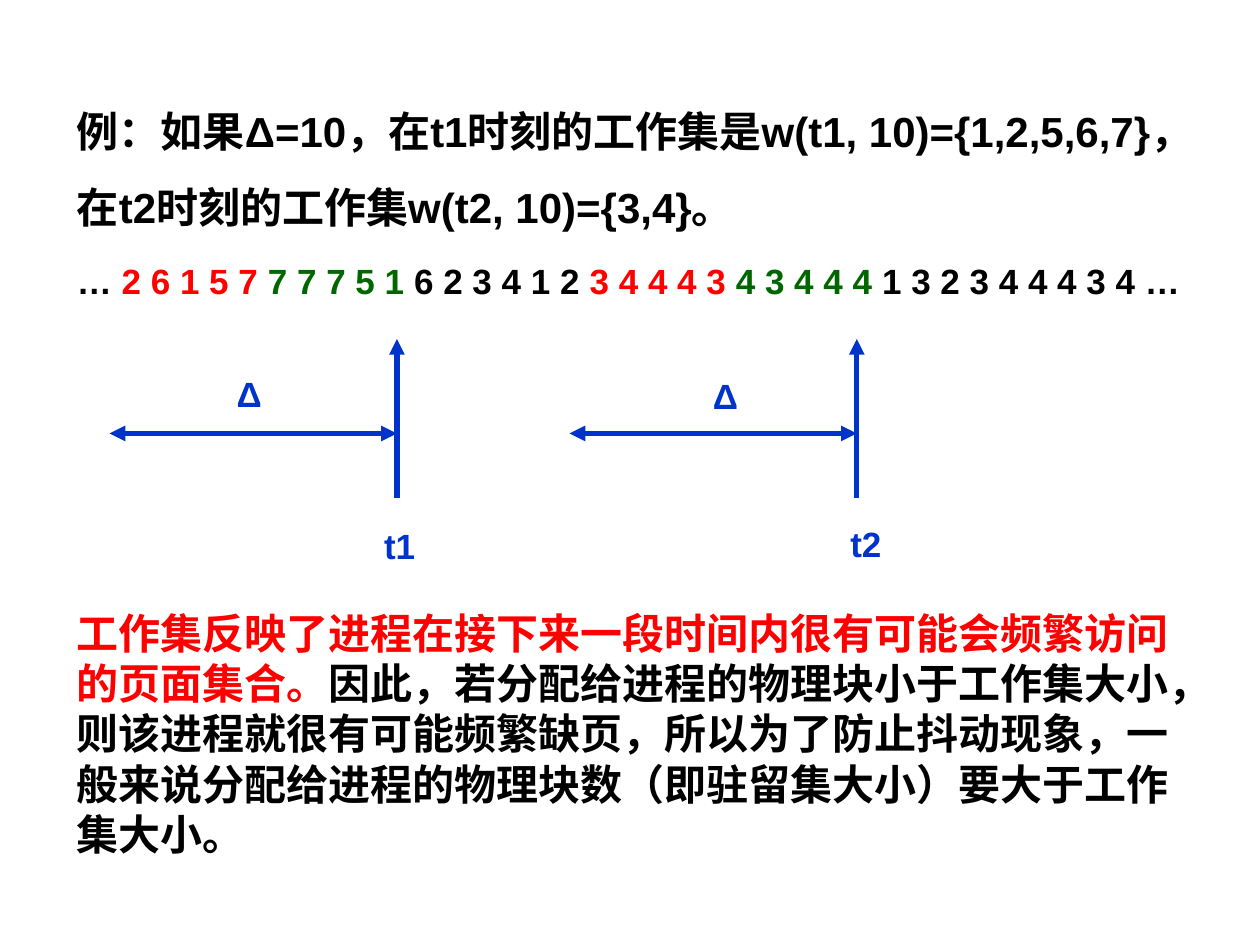
"""Build a slide that explains the working set of a process with two sample windows."""
from dataclasses import dataclass

from lxml.etree import SubElement
from pptx import Presentation
from pptx.dml.color import RGBColor as Rgb
from pptx.enum.shapes import MSO_CONNECTOR as Connector
from pptx.enum.text import MSO_ANCHOR as Anchor, MSO_AUTO_SIZE as AutoSize
from pptx.oxml.ns import qn
from pptx.util import Pt

COLORS = {
    "black": "000000",
    "red": "FF0000",
    "green": "006600",
    "blue": "0033CC",
    "white": "FFFFFF",
}
FONT = "Arial"
WINDOW_WIDTH = 164.16
SPAN_Y, MARK_TOP, MARK_BOTTOM = 247.7, 193.7, 284.4


@dataclass(frozen=True)
class Piece:
    text: str
    color: str = "black"


@dataclass(frozen=True)
class Box:
    left: float
    top: float
    width: float
    height: float


@dataclass(frozen=True)
class Window:
    moment: str
    left: float
    delta: Box
    label: Box


WINDOWS = [
    Window("t1", 62.64, Box(128.2, 209.5, 52.6, 31.7), Box(212.4, 295.9, 59.8, 31.7)),
    Window("t2", 325.44, Box(400.3, 210.2, 52.6, 31.7), Box(478.8, 295.2, 58.3, 31.7)),
]
EXAMPLE = [
    Piece("例：如果Δ=10，在t1时刻的工作集是w(t1, 10)={1,2,5,6,7}，在t2时刻的工作集w(t2, 10)={3,4}。"),
]
REFERENCES = [
    Piece("… "),
    Piece("2 6 1 5 7 ", "red"),
    Piece("7 7 7 5 1 ", "green"),
    Piece("6 2 3 4 1 2 "),
    Piece("3 4 4 4 3 ", "red"),
    Piece("4 3 4 4 4 ", "green"),
    Piece("1 3 2 3 4 4 4 3 4 …"),
]
CONCLUSION = [
    Piece("工作集反映了进程在接下来一段时间内很有可能会频繁访问的页面集合。", "red"),
    Piece(
        "因此，若分配给进程的物理块小于工作集大小，则该进程就很有可能频繁缺页，"
        "所以为了防止抖动现象，一般来说分配给进程的物理块数（即驻留集大小）要大于工作集大小。"
    ),
]


def rgb(name: str) -> Rgb:
    """Return the named colour."""
    return Rgb.from_string(COLORS[name])


def set_values(target, values: dict) -> None:
    """Set each named attribute on the target."""
    for name, value in values.items():
        setattr(target, name, value)


def write(para, pieces: list[Piece], size: float) -> None:
    """Add coloured bold pieces of text to a paragraph."""
    for piece in pieces:
        span = para.add_run()
        span.text = piece.text
        set_values(span.font, {"name": FONT, "size": Pt(size), "bold": True})
        span.font.color.rgb = rgb(piece.color)


def add_text(shapes, place: Box, pieces: list[Piece], size: float) -> None:
    """Add a wrapping text box with one paragraph."""
    box = shapes.add_textbox(
        Pt(place.left), Pt(place.top), Pt(place.width), Pt(place.height)
    )
    set_values(
        box.text_frame, {"word_wrap": True, "auto_size": AutoSize.SHAPE_TO_FIT_TEXT}
    )
    write(box.text_frame.paragraphs[0], pieces, size)


def add_arrow(
    shapes, start: tuple[float, float], end: tuple[float, float], ends: list[str]
) -> None:
    """Add a blue line with triangles at the given ends."""
    arrow = shapes.add_connector(
        Connector.STRAIGHT, Pt(start[0]), Pt(start[1]), Pt(end[0]), Pt(end[1])
    )
    arrow.line.width = Pt(3)
    arrow.line.color.rgb = rgb("blue")
    outline = arrow.line._get_or_add_ln()
    for name in ends:
        SubElement(outline, qn(f"a:{name}"), type="triangle")
    SubElement(arrow._element.spPr, qn("a:effectLst"))


def add_window(page, window: Window) -> None:
    """Draw one working-set window and the label of its moment."""
    right = window.left + WINDOW_WIDTH
    shapes = page.shapes.add_group_shape().shapes
    add_arrow(shapes, (window.left, SPAN_Y), (right, SPAN_Y), ["headEnd", "tailEnd"])
    add_arrow(shapes, (right, MARK_BOTTOM), (right, MARK_TOP), ["tailEnd"])
    add_text(shapes, window.delta, [Piece("Δ", "blue")], 20)
    add_text(page.shapes, window.label, [Piece(window.moment, "blue")], 20)


def fill_body(body) -> None:
    """Place the body and write the example with its reference string."""
    place = {"left": Pt(36.7), "top": Pt(42.5), "width": Pt(660.2), "height": Pt(149.8)}
    set_values(body, place)
    body.fill.solid()
    body.fill.fore_color.rgb = rgb("white")
    frame = body.text_frame
    set_values(
        frame,
        {"word_wrap": True, "auto_size": AutoSize.NONE, "vertical_anchor": Anchor.TOP},
    )
    for index, (pieces, size) in enumerate([(EXAMPLE, 24), (REFERENCES, 20)]):
        para = frame.add_paragraph() if index else frame.paragraphs[0]
        set_values(para, {"line_spacing": 1.5, "space_before": Pt(size * 0.2)})
        properties = para._p.get_or_add_pPr()
        properties.set("marL", "0")
        properties.set("indent", "0")
        SubElement(properties, qn("a:buNone"))
        write(para, pieces, size)


def main() -> None:
    """Build and save the deck."""
    deck = Presentation()
    set_values(deck, {"slide_width": Pt(720), "slide_height": Pt(540)})
    page = deck.slides.add_slide(deck.slide_layouts[1])
    title = page.shapes.title._element
    title.getparent().remove(title)
    fill_body(page.placeholders[1])
    for window in WINDOWS:
        add_window(page, window)
    add_text(page.shapes, Box(36.7, 343.4, 646.6, 152.6), CONCLUSION, 24)
    deck.save("out.pptx")


if __name__ == "__main__":
    main()
